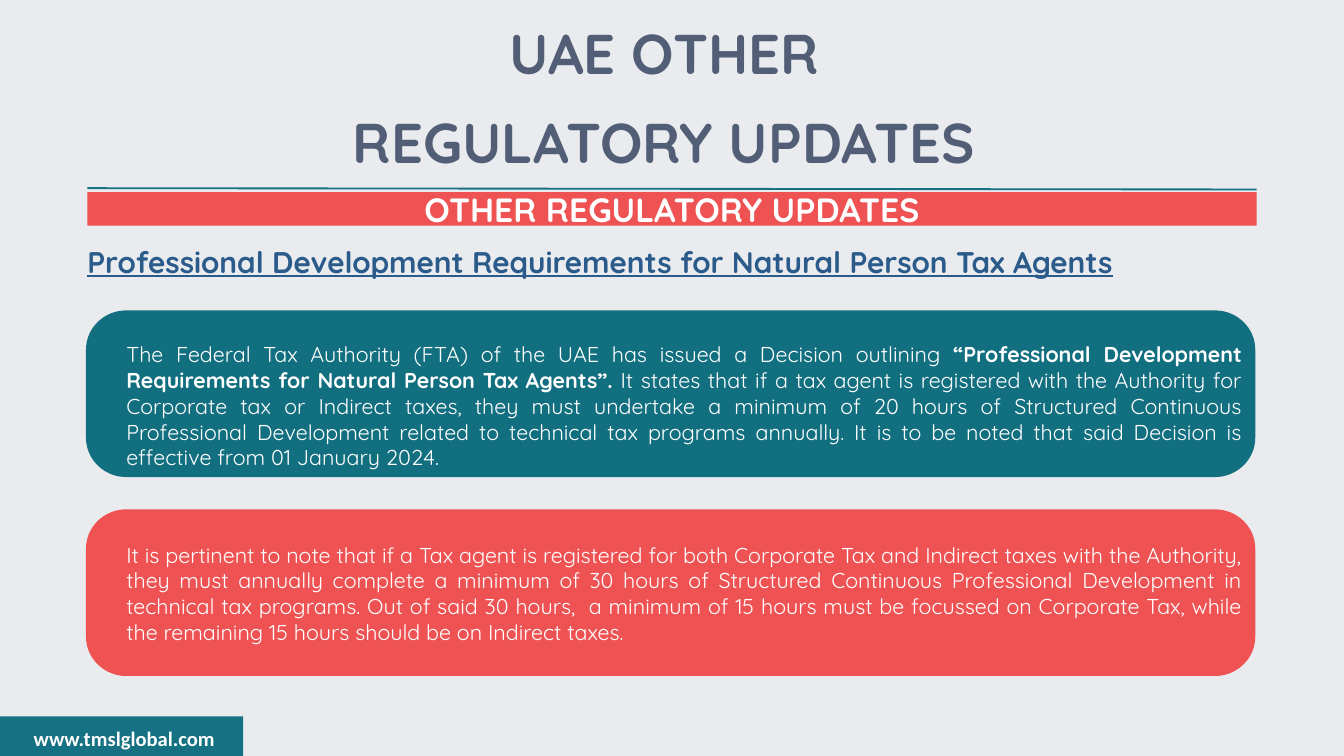
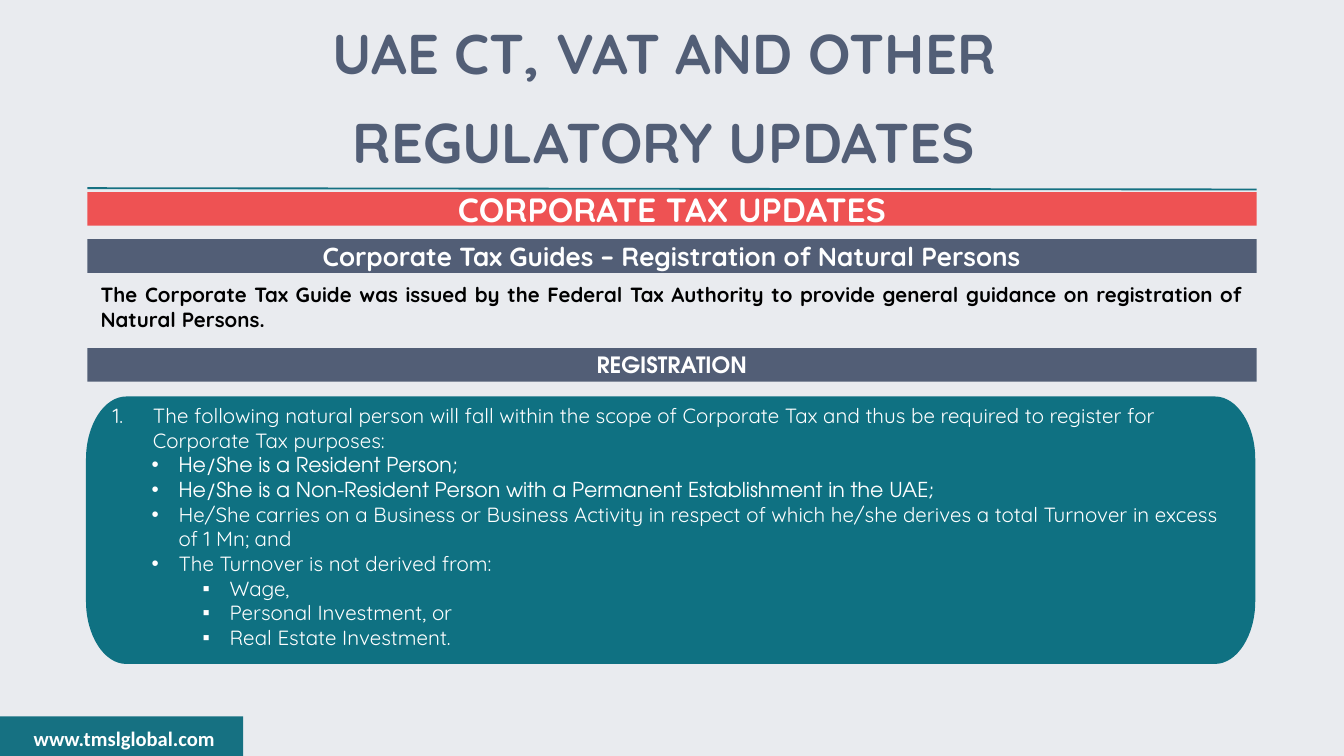
from lxml import etree
from pptx import Presentation
from pptx.dml.color import RGBColor
from pptx.enum.shapes import MSO_CONNECTOR, MSO_SHAPE
from pptx.enum.text import MSO_ANCHOR as Anchor, MSO_AUTO_SIZE as AutoSize, PP_ALIGN as Align
from pptx.oxml.ns import qn
from pptx.util import Inches, Pt

COLORS = {
    "page": "E9EBEF",
    "teal": "167182",
    "panel_teal": "126F80",
    "list_teal": "0F7182",
    "red": "EE5253",
    "slate": "525E76",
    "blue": "2A5B8A",
    "white": "FFFFFF",
    "black": "000000",
}
QUICKSAND = "Quicksand"
ADVENTOR = "TeX Gyre Adventor"
LEFT, WIDTH, BAND_HEIGHT = 0.65, 8.7, 0.25
NO_INSETS = (0, 0, 0, 0)
TEXT_INSETS = (0.1, 0.05, 0.1, 0.05)

# kind: (level, left margin, first-line indent, bullet tag, bullet attributes)
BULLETS = {
    "number": (0, 0.4, -0.3, "a:buAutoNum", {"type": "arabicPeriod"}),
    "dot": (0, 0.59, -0.2, "a:buChar", {"char": "•"}),
    "square": (1, 0.97, -0.2, "a:buChar", {"char": "▪"}),
}

CPD_DECISION = [
    ("The Federal Tax Authority (FTA) of the UAE has issued a Decision outlining ", False),
    ("“Professional Development Requirements for Natural Person Tax Agents”. ", True),
    ("It states that if a tax agent is registered with the Authority for Corporate tax or "
     "Indirect taxes, they must undertake a minimum of 20 hours of Structured Continuous "
     "Professional Development related to technical tax programs annually. It is to be noted "
     "that said Decision is effective from 01 January 2024.", False),
]
BOTH_TAXES_NOTE = [
    ("It is pertinent to note that if a Tax agent is registered for both Corporate Tax and "
     "Indirect taxes with the Authority, they must annually complete a minimum of 30 hours of "
     "Structured Continuous Professional Development in technical tax programs. Out of said "
     "30 hours,  a minimum of 15 hours must be focussed on Corporate Tax, while the remaining "
     "15 hours should be on Indirect taxes.", False),
]
REGISTRATION_RULES = [
    ("number", QUICKSAND, "The following natural person will fall within the scope of Corporate "
     "Tax and thus be required to register for Corporate Tax purposes:"),
    ("dot", ADVENTOR, "He/She is a Resident Person;"),
    ("dot", ADVENTOR, "He/She is a Non-Resident Person with a Permanent Establishment in the UAE;"),
    ("dot", QUICKSAND, "He/She carries on a Business or Business Activity in respect of which "
     "he/she derives a total Turnover in excess of 1 Mn; and"),
    ("dot", QUICKSAND, "The Turnover is not derived from:"),
    ("square", QUICKSAND, "Wage,"),
    ("square", QUICKSAND, "Personal Investment, or"),
    ("square", QUICKSAND, "Real Estate Investment."),
]


def color(name):
    return RGBColor.from_string(COLORS[name])


def inches(*values):
    return [Inches(value) for value in values]


def add_span(para, text, size, ink="white", name=QUICKSAND, **extra):
    span = para.add_run()
    span.text = text
    for key, value in {"size": Pt(size), "name": name, **extra}.items():
        setattr(span.font, key, value)
    span.font.color.rgb = color(ink)


def set_frame(box, insets=TEXT_INSETS, anchor=Anchor.TOP):
    """Prepare the text frame and return its first paragraph."""
    frame = box.text_frame
    left, top, right, bottom = inches(*insets)
    settings = {
        "word_wrap": True, "auto_size": AutoSize.NONE, "vertical_anchor": anchor,
        "margin_left": left, "margin_top": top, "margin_right": right, "margin_bottom": bottom,
    }
    for key, value in settings.items():
        setattr(frame, key, value)
    return frame.paragraphs[0]


def paint(shape, fill):
    shape.shadow.inherit = False
    shape.fill.solid()
    shape.fill.fore_color.rgb = color(fill)
    shape.line.fill.background()


def add_rectangle(page, left, top, width, height, fill):
    box = page.shapes.add_shape(MSO_SHAPE.RECTANGLE, *inches(left, top, width, height))
    paint(box, fill)
    return box


def add_band(page, top, text, size, fill="slate", name=QUICKSAND):
    box = add_rectangle(page, LEFT, top, WIDTH, BAND_HEIGHT, fill)
    para = set_frame(box, NO_INSETS, Anchor.MIDDLE)
    para.alignment = Align.CENTER
    add_span(para, text, size, name=name, bold=True)


def add_text(page, place, text, size, ink, insets=TEXT_INSETS, align=Align.JUSTIFY, **extra):
    box = page.shapes.add_textbox(*inches(*place))
    para = set_frame(box, insets)
    para.alignment = align
    add_span(para, text, size, ink, bold=True, **extra)


def round_corner(line, start, corner, end, pull=0.55):
    """Turn a straight path segment into a curve drawn towards the corner."""
    curve = etree.Element(qn("a:cubicBezTo"))
    controls = [[a + (c - a) * pull for a, c in zip(point, corner)] for point in (start, end)]
    for x, y in [*controls, end]:
        etree.SubElement(curve, qn("a:pt"), x=str(round(x)), y=str(round(y)))
    line.getparent().replace(line, curve)


def add_panel(page, top, height, fill):
    """Panel whose corners are quarter ellipses, taller on taller panels."""
    left, width = 0.64, 8.7
    x0, x1, x2, x3 = inches(0, 0.3, width - 0.3, width)
    y0, y1, y2, y3 = inches(0, height * 0.235, height * 0.765, height)
    # each corner: start of the curve, corner point, end of the curve
    corners = [
        ((x3, y2), (x3, y3), (x2, y3)), ((x1, y3), (x0, y3), (x0, y2)),
        ((x0, y1), (x0, y0), (x1, y0)), ((x2, y0), (x3, y0), (x3, y1)),
    ]
    points = [point for start, _, end in corners for point in (start, end)]
    builder = page.shapes.build_freeform(*points[0])
    builder.add_line_segments(points[1:], close=True)
    panel = builder.convert_to_shape(*inches(left, top))
    lines = list(panel._element.iter(qn("a:lnTo")))
    for line, corner in zip(lines[::2], corners):
        round_corner(line, *corner)
    paint(panel, fill)
    return panel


def add_note_panel(page, top, fill, spans, text_top):
    panel = add_panel(page, top, 1.24, fill)
    para = set_frame(panel, (0.3, text_top, 0.1, 0.05))
    para.alignment = Align.JUSTIFY
    for text, bold in spans:
        add_span(para, text, 11.5, bold=bold)


def set_bullet(para, kind):
    level, margin, indent, tag, attributes = BULLETS[kind]
    para.level = level
    props = para._p.get_or_add_pPr()
    props.set("marL", str(Inches(margin)))
    props.set("indent", str(Inches(indent)))
    if tag == "a:buChar":
        etree.SubElement(props, qn("a:buFont"), typeface="Arial")
    etree.SubElement(props, qn(tag), **attributes)


def add_list_panel(page, top, height, fill, items):
    panel = add_panel(page, top, height, fill)
    first = set_frame(panel)
    for index, (kind, name, text) in enumerate(items):
        para = panel.text_frame.add_paragraph() if index else first
        para.alignment = Align.LEFT
        set_bullet(para, kind)
        add_span(para, text, 11, name=name)


def add_title(page, lines):
    title = page.shapes.title
    title.left, title.top, title.width, title.height = inches(LEFT, 0.49, WIDTH, 0.46)
    first = set_frame(title, NO_INSETS, Anchor.MIDDLE)
    for index, line in enumerate(lines):
        para = title.text_frame.add_paragraph() if index else first
        para.alignment = Align.CENTER
        para.space_after = Pt(12)
        add_span(para, line, 30, "slate", bold=True)


def add_rule(page):
    rule = page.shapes.add_connector(MSO_CONNECTOR.STRAIGHT, *inches(LEFT, 1.4, LEFT + WIDTH, 1.41))
    rule.line.color.rgb = color("teal")
    rule.line.width = Pt(1)
    etree.SubElement(rule._element.spPr, qn("a:effectLst"))


def add_page(deck, title_lines, topic):
    """Slide with the shared background, footer, title, rule and topic band."""
    page = deck.slides.add_slide(deck.slide_layouts[5])
    page.background.fill.solid()
    page.background.fill.fore_color.rgb = color("page")
    add_rectangle(page, 0, 5.33, 1.81, 0.32, "teal")
    add_text(page, (0.05, 5.35, 1.75, 0.29), "www.tmslglobal.com", 11, "white",
             align=Align.CENTER, name="Calibri")
    add_rule(page)
    add_title(page, title_lines)
    add_band(page, 1.43, topic, 18, "red")
    return page


def add_regulatory_page(deck):
    page = add_page(deck, ["UAE OTHER ", "REGULATORY UPDATES "], "OTHER REGULATORY UPDATES")
    add_text(page, (LEFT, 1.81, WIDTH, 0.27),
             "Professional Development Requirements for Natural Person Tax Agents",
             16, "blue", NO_INSETS, underline=True)
    add_note_panel(page, 2.31, "panel_teal", CPD_DECISION, 0.23)
    add_note_panel(page, 3.79, "red", BOTH_TAXES_NOTE, 0.24)


def add_corporate_tax_page(deck):
    page = add_page(deck, ["UAE CT, VAT AND OTHER ", "REGULATORY UPDATES "],
                    "CORPORATE TAX UPDATES")
    add_band(page, 1.78, "Corporate Tax Guides – Registration of Natural Persons", 14)
    add_text(page, (LEFT, 2.05, WIDTH, 0.29),
             "The Corporate Tax Guide was issued by the Federal Tax Authority to provide general "
             "guidance on registration of Natural Persons.", 11, "black")
    add_band(page, 2.59, "REGISTRATION", 12, name=ADVENTOR)
    add_list_panel(page, 2.95, 1.99, "list_teal", REGISTRATION_RULES)


def main():
    deck = Presentation()
    deck.slide_width, deck.slide_height = inches(10, 5.625)
    add_regulatory_page(deck)
    add_corporate_tax_page(deck)
    deck.save("out.pptx")


if __name__ == "__main__":
    main()
